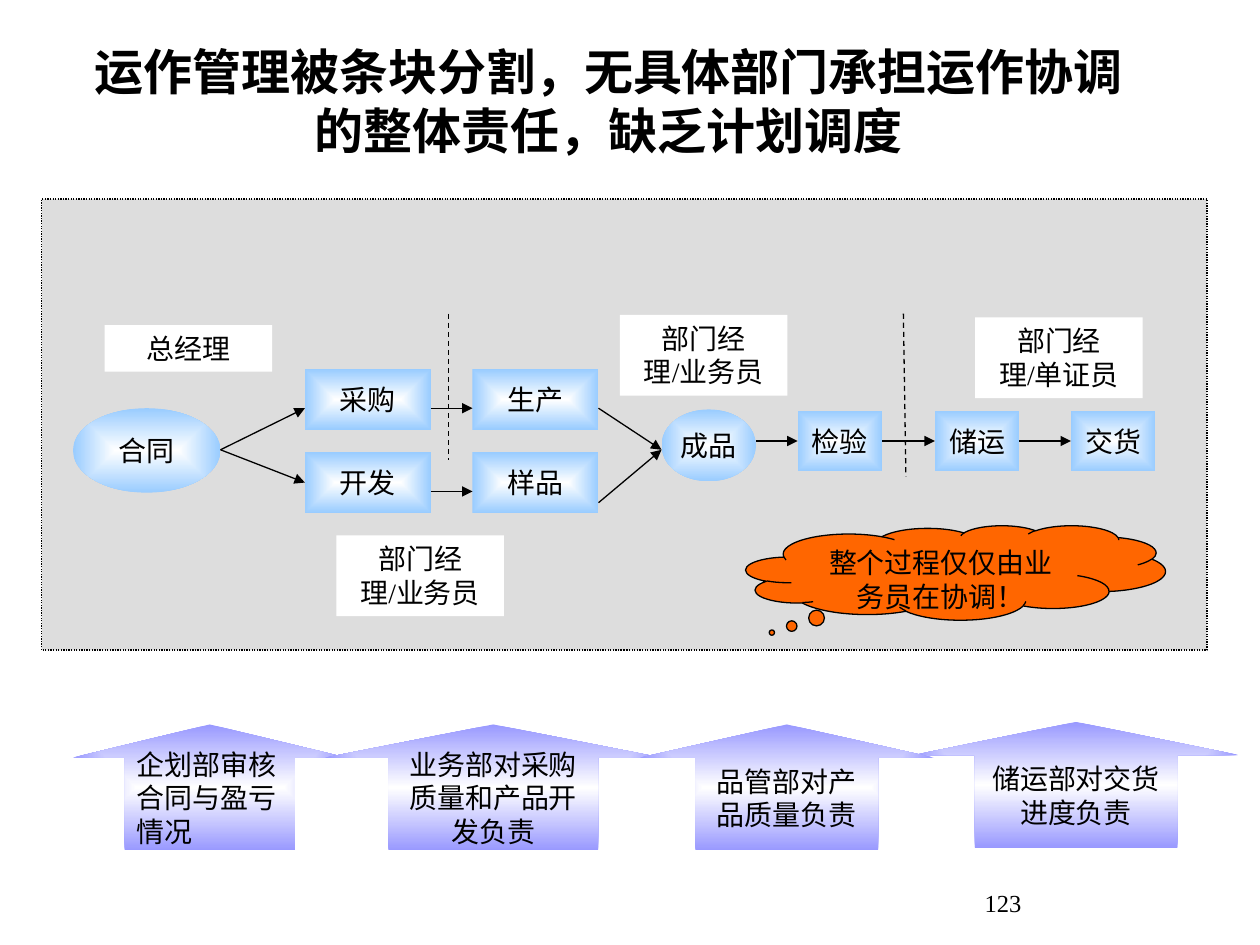
from lxml import etree
from pptx import Presentation
from pptx.dml.color import RGBColor
from pptx.enum.dml import MSO_LINE
from pptx.enum.shapes import MSO_CONNECTOR, MSO_SHAPE
from pptx.enum.text import MSO_ANCHOR, PP_ALIGN
from pptx.oxml.ns import qn
from pptx.util import Inches, Pt

BLACK = RGBColor(0x00, 0x00, 0x00)
WHITE = RGBColor(0xFF, 0xFF, 0xFF)
GREY = RGBColor(0xDD, 0xDD, 0xDD)
ORANGE = RGBColor(0xFF, 0x66, 0x00)
SKY = RGBColor(0x99, 0xCC, 0xFF)
LILAC = RGBColor(0x99, 0x99, 0xFF)

RECTANGLE, OVAL = MSO_SHAPE.RECTANGLE, MSO_SHAPE.OVAL
UP_ARROW, CLOUD = MSO_SHAPE.UP_ARROW, MSO_SHAPE.CLOUD_CALLOUT
STRAIGHT = MSO_CONNECTOR.STRAIGHT
DASH, DOTS = MSO_LINE.DASH, MSO_LINE.ROUND_DOT
LEFT, CENTER = PP_ALIGN.LEFT, PP_ALIGN.CENTER
TOP, MIDDLE = MSO_ANCHOR.TOP, MSO_ANCHOR.MIDDLE

LATIN_FONT = "Times New Roman"
CHINESE_FONT = "Noto Sans CJK SC"
LEFT_SIDE, RIGHT_SIDE = 1, 3

# name, shape, left, top, width, height
STEPS = [
    ("采购", RECTANGLE, 2.42, 2.93, 1, 0.48),
    ("生产", RECTANGLE, 3.75, 2.93, 1, 0.48),
    ("开发", RECTANGLE, 2.42, 3.59, 1, 0.48),
    ("样品", RECTANGLE, 3.75, 3.59, 1, 0.48),
    ("成品", OVAL, 5.25, 3.25, 0.75, 0.57),
    ("检验", RECTANGLE, 6.33, 3.26, 0.67, 0.48),
    ("储运", RECTANGLE, 7.42, 3.26, 0.67, 0.48),
    ("交货", RECTANGLE, 8.5, 3.26, 0.67, 0.48),
    ("合同", OVAL, 0.58, 3.24, 1.17, 0.67),
]
# start, end, step joined at the start, step joined at the end
FLOWS = [
    ((1.75, 3.57), (2.42, 3.24), None, None),
    ((1.75, 3.57), (2.42, 3.83), None, "开发"),
    ((3.42, 3.9), (3.75, 3.9), None, None),
    ((3.42, 3.24), (3.75, 3.24), None, None),
    ((4.75, 3.99), (5.25, 3.57), None, None),
    ((4.75, 3.24), (5.25, 3.57), None, None),
    ((6, 3.5), (6.33, 3.5), None, "检验"),
    ((7, 3.5), (7.42, 3.5), "检验", "储运"),
    ((8.09, 3.5), (8.5, 3.5), "储运", "交货"),
]
DIVIDERS = [((3.56, 2.49), (3.56, 3.65)), ((7.17, 2.49), (7.19, 3.78))]
# text, left, top, width, alignment
DUTIES = [
    ("企划部审核合同与盈亏情况", 0.58, 5.75, 2.17, LEFT),
    ("储运部对交货进度负责", 7.25, 5.73, 2.58, CENTER),
    ("业务部对采购质量和产品开发负责", 2.58, 5.75, 2.67, CENTER),
    ("品管部对产品质量负责", 5.08, 5.75, 2.33, CENTER),
]
# text, left, top, height
OWNERS = [
    ("总经理", 0.83, 2.58, 0.37),
    ("部门经理/业务员", 4.92, 2.5, 0.64),
    ("部门经理/单证员", 7.74, 2.52, 0.64),
    ("部门经理/业务员", 2.67, 4.25, 0.64),
]


def write_text(box, text, size=16, align=CENTER, anchor=MIDDLE, font=LATIN_FONT, bold=False):
    frame = box.text_frame
    frame.text = text
    frame.word_wrap = True
    frame.vertical_anchor = anchor
    para = frame.paragraphs[0]
    para.alignment = align
    span = para.runs[0]
    span.font.size = Pt(size)
    span.font.bold = bold
    span.font.color.rgb = BLACK
    span.font.name = font
    east_asian = etree.Element(qn("a:ea"), typeface=CHINESE_FONT)
    span.font._element.find(qn("a:latin")).addnext(east_asian)


def add_text_box(slide, text, left, top, width, height, **style):
    box = slide.shapes.add_textbox(Inches(left), Inches(top), Inches(width), Inches(height))
    write_text(box, text, **style)


def add_block(slide, kind, left, top, width, height, fill=None, outlined=False):
    block = slide.shapes.add_shape(
        kind, Inches(left), Inches(top), Inches(width), Inches(height))
    block.shadow.inherit = False
    if fill is not None:
        block.fill.solid()
        block.fill.fore_color.rgb = fill
    if outlined:
        block.line.color.rgb = BLACK
        block.line.width = Pt(0.75)
    else:
        block.line.fill.background()
    return block


def fill_from_center(block, edge_color):
    """Fade from white in the middle to edge_color at all four sides."""
    block.fill.gradient()
    for stop, color in zip(block.fill.gradient_stops, (WHITE, edge_color)):
        stop.color.rgb = color
    first, last = block.fill.gradient_stops
    first.position, last.position = 0, 1
    linear = block._element.spPr.find(qn("a:gradFill")).find(qn("a:lin"))
    path = etree.Element(qn("a:path"), path="rect")
    etree.SubElement(path, qn("a:fillToRect"), l="50000", t="50000", r="50000", b="50000")
    linear.getparent().replace(linear, path)


def add_line(slide, start, end):
    line = slide.shapes.add_connector(STRAIGHT, *(Inches(value) for value in start + end))
    line.line.color.rgb = BLACK
    line.line.width = Pt(0.75)
    etree.SubElement(line._element.spPr, qn("a:effectLst"))
    return line


def add_flow(slide, steps, start, end, source, target):
    arrow = add_line(slide, start, end)
    etree.SubElement(arrow.line._get_or_add_ln(), qn("a:tailEnd"), type="triangle")
    if source:
        arrow.begin_connect(steps[source], RIGHT_SIDE)
    if target:
        arrow.end_connect(steps[target], LEFT_SIDE)


def add_step(slide, name, kind, *place):
    step = add_block(slide, kind, *place)
    fill_from_center(step, SKY)
    write_text(step, name)
    return step


def add_duty(slide, text, left, top, width, align):
    duty = add_block(slide, UP_ARROW, left, top, width, 1)
    duty.adjustments[0] = 0.623
    duty.adjustments[1] = 0.263
    fill_from_center(duty, LILAC)
    write_text(duty, text, align=align)


def main():
    deck = Presentation()
    deck.slide_width, deck.slide_height = Inches(10), Inches(7.5)
    slide = deck.slides.add_slide(deck.slide_layouts[6])

    add_text_box(slide, "运作管理被条块分割，无具体部门承担运作协调的整体责任，缺乏计划调度",
                 0.58, 0.17, 8.5, 1.25, size=28, font=CHINESE_FONT, bold=True)
    panel = add_block(slide, RECTANGLE, 0.33, 1.58, 9.25, 3.58, GREY, outlined=True)
    panel.line.dash_style = DOTS

    steps = {step[0]: add_step(slide, *step) for step in STEPS}
    steps["成品"].text_frame.word_wrap = False
    for flow in FLOWS:
        add_flow(slide, steps, *flow)
    for duty in DUTIES:
        add_duty(slide, *duty)
    for start, end in DIVIDERS:
        add_line(slide, start, end).line.dash_style = DASH
    for text, left, top, height in OWNERS:
        owner = add_block(slide, RECTANGLE, left, top, 1.33, height, WHITE)
        write_text(owner, text, anchor=TOP)

    cloud = add_block(slide, CLOUD, 5.92, 4.17, 3.33, 0.75, ORANGE, outlined=True)
    cloud.adjustments[0] = -0.438
    cloud.adjustments[1] = 0.634
    write_text(cloud, "整个过程仅仅由业务员在协调！", anchor=TOP)
    add_text_box(slide, "123", 6.42, 7, 3.08, 0.25, size=14, anchor=TOP)

    deck.save("out.pptx")


if __name__ == "__main__":
    main()
